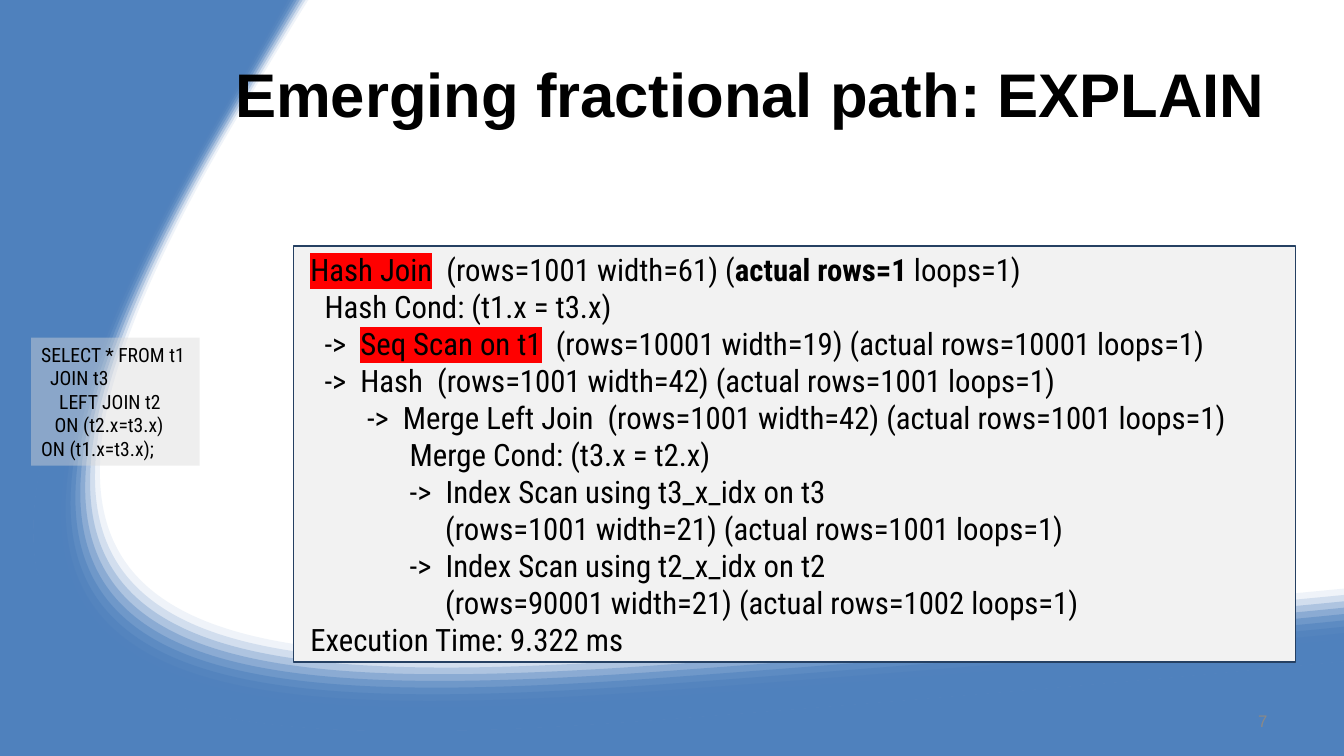
from lxml.etree import SubElement
from pptx import Presentation
from pptx.dml.color import RGBColor
from pptx.enum.shapes import MSO_SHAPE
from pptx.enum.text import MSO_ANCHOR, PP_ALIGN
from pptx.oxml.ns import qn
from pptx.util import Inches, Pt

WIDTH, HEIGHT = 13.33, 7.5
BLUE, BLACK, RED = "4F81BD", "000000", "FF0000"
CODE_FONT = "Roboto Condensed"

# Each edge runs from the right side of the slide to its top:
# a start point, then cubic segments of two control points and an end point.
OUTER_EDGE = [(13.33, 6.56),
              (13.33, 6.56), (10.75, 6.82), (6.55, 7.14),
              (1.06, 7.55), (-1.62, 7.12), (1.96, 1.15),
              (2.4, 0.41), (2.65, 0), (2.65, 0)]
INNER_EDGE = [(13.33, 5.84),
              (13.31, 5.84), (10.85, 6.09), (6.9, 6.38),
              (1.61, 6.78), (-0.73, 6.32), (2.4, 1.09),
              (2.81, 0.4), (3.05, 0.01), (3.06, 0)]
LAST_EDGE = [(13.33, 6.47),
             (12.99, 6.51), (10.48, 6.75), (6.64, 7.04),
             (1.22, 7.45), (-1.42, 7.03), (2.11, 1.14),
             (2.48, 0.52), (2.71, 0.11), (2.77, 0)]
BAND_COUNT = 11

TITLE = "Emerging fractional path: EXPLAIN"
PAGE_NUMBER = "7"

# Code lines: indent in characters, then runs of (text, style).
PLAN = [
    (1, [("Hash Join", "highlight"), ("  (rows=1001 width=61) (", ""),
         ("actual rows=1", "bold"), (" loops=1)", "")]),
    (3, [("Hash Cond: (t1.x = t3.x)", "")]),
    (3, [("->  ", ""), ("Seq Scan on t1", "highlight"),
         ("  (rows=10001 width=19) (actual rows=10001 loops=1)", "")]),
    (3, [("->  Hash  (rows=1001 width=42) (actual rows=1001 loops=1)", "")]),
    (9, [("->  Merge Left Join  (rows=1001 width=42) (actual rows=1001 loops=1)", "")]),
    (15, [("Merge Cond: (t3.x = t2.x)", "")]),
    (15, [("->  Index Scan using t3_x_idx on t3", "")]),
    (20, [("(rows=1001 width=21) (actual rows=1001 loops=1)", "")]),
    (15, [("->  Index Scan using t2_x_idx on t2", "")]),
    (20, [("(rows=90001 width=21) (actual rows=1002 loops=1)", "")]),
    (1, [("Execution Time: 9.322 ms", "")]),
]
QUERY = [
    (0, [("SELECT * FROM t1", "")]),
    (2, [("JOIN t3", "")]),
    (4, [("LEFT JOIN t2", "")]),
    (3, [("ON (t2.x=t3.x)", "")]),
    (0, [("ON (t1.x=t3.x);", "")]),
]


def color(hex_code):
    return RGBColor.from_string(hex_code)


def paint(shape, hex_code, opacity=1):
    """Fill a shape, without line or shadow."""
    shape.shadow.inherit = False
    shape.line.fill.background()
    shape.fill.solid()
    shape.fill.fore_color.rgb = color(hex_code)
    if opacity < 1:
        fill_color = shape.fill._xPr.find(qn("a:solidFill"))[0]
        SubElement(fill_color, qn("a:alpha"), val=str(round(opacity * 100000)))


def set_font(paragraph, name, size, hex_code, bold=False):
    font = paragraph.font
    font.name, font.size, font.bold = name, Pt(size), bold
    font.color.rgb = color(hex_code)


def blend(start_edge, end_edge, share):
    return [(x1 + (x2 - x1) * share, y1 + (y2 - y1) * share)
            for (x1, y1), (x2, y2) in zip(start_edge, end_edge)]


def add_step(outline, tag, points):
    step = SubElement(outline, qn(tag))
    for x, y in points:
        SubElement(step, qn("a:pt"), x=str(Inches(x)), y=str(Inches(y)))


def add_area(slide, edges, corners=(), opacity=1):
    """Draw a slide-sized freeform bounded by curved edges, then straight corners."""
    builder = slide.shapes.build_freeform(0, 0)
    frame = [(WIDTH, 0), (WIDTH, HEIGHT), (0, HEIGHT)]
    builder.add_line_segments([(Inches(x), Inches(y)) for x, y in frame], close=True)
    shape = builder.convert_to_shape()
    outline = shape._element.find(".//" + qn("a:path"))
    for step in list(outline):
        outline.remove(step)
    for number, edge in enumerate(edges):
        add_step(outline, "a:lnTo" if number else "a:moveTo", edge[:1])
        for first in range(1, len(edge), 3):
            add_step(outline, "a:cubicBezTo", edge[first:first + 3])
    for corner in corners:
        add_step(outline, "a:lnTo", [corner])
    SubElement(outline, qn("a:close"))
    paint(shape, BLUE, opacity)


def add_background(slide):
    add_area(slide, [OUTER_EDGE], [(0, 0), (0, HEIGHT), (WIDTH, HEIGHT)])
    for band in range(BAND_COUNT):
        edge = blend(INNER_EDGE, LAST_EDGE, band / (BAND_COUNT - 1))
        add_area(slide, [edge, OUTER_EDGE[::-1]], opacity=(band + 1) / BAND_COUNT)


def add_label(slide, box, text, font, align):
    label = slide.shapes.add_textbox(*map(Inches, box))
    frame = label.text_frame
    frame.word_wrap = True
    frame.vertical_anchor = MSO_ANCHOR.MIDDLE
    paragraph = frame.paragraphs[0]
    paragraph.text = text
    paragraph.alignment = align
    set_font(paragraph, *font)


def add_code_box(slide, box, lines, size, fill, opacity=1):
    shape = slide.shapes.add_shape(MSO_SHAPE.RECTANGLE, *map(Inches, box))
    paint(shape, fill, opacity)
    frame = shape.text_frame
    frame.word_wrap = True
    frame.vertical_anchor = MSO_ANCHOR.TOP
    space_width = size * 0.0032
    for number, (indent, runs) in enumerate(lines):
        paragraph = frame.add_paragraph() if number else frame.paragraphs[0]
        paragraph.alignment = PP_ALIGN.LEFT
        set_font(paragraph, CODE_FONT, size, BLACK)
        properties = paragraph._p.get_or_add_pPr()
        properties.set("marL", str(Inches(indent * space_width)))
        properties.set("indent", "0")
        for text, style in runs:
            run = paragraph.add_run()
            run.text = text
            if style == "bold":
                run.font.bold = True
            elif style == "highlight":
                highlight = SubElement(run._r.get_or_add_rPr(), qn("a:highlight"))
                SubElement(highlight, qn("a:srgbClr"), val=RED)
    return shape


def main():
    presentation = Presentation()
    presentation.slide_width, presentation.slide_height = Inches(WIDTH), Inches(HEIGHT)
    slide = presentation.slides.add_slide(presentation.slide_layouts[6])

    add_background(slide)
    add_label(slide, (1.73, 0.3, 10.93, 1.25), TITLE, ("Arial", 44, BLACK, True), PP_ALIGN.RIGHT)
    plan_box = add_code_box(slide, (2.91, 2.44, 9.94, 4.13), PLAN, 22, "F2F2F2")
    plan_box.line.color.rgb = color("254062")
    plan_box.line.width = Pt(1)
    add_code_box(slide, (0.31, 3.35, 1.67, 1.27), QUERY, 14, "D9D9D9", 0.43)
    add_label(slide, (11.67, 6.95, 1, 0.4), PAGE_NUMBER, ("Arial", 12, "898989"), PP_ALIGN.RIGHT)

    presentation.save("out.pptx")


if __name__ == "__main__":
    main()
